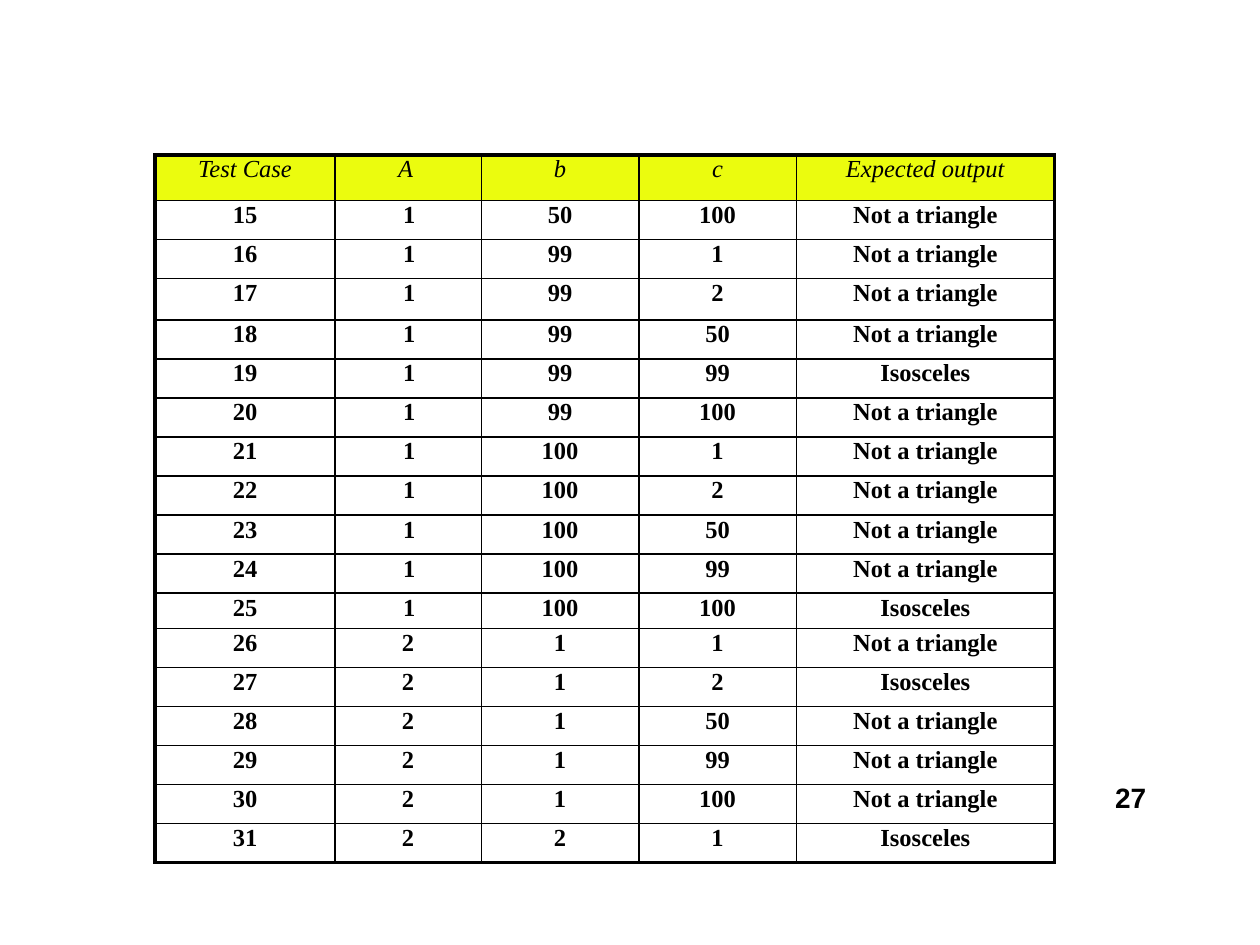
from dataclasses import dataclass
from itertools import product

from lxml import etree
from pptx import Presentation
from pptx.dml.color import RGBColor
from pptx.enum.text import MSO_ANCHOR, PP_ALIGN
from pptx.oxml.ns import qn
from pptx.util import Inches, Pt

CENTER, LEFT = PP_ALIGN.CENTER, PP_ALIGN.LEFT
TOP = MSO_ANCHOR.TOP


@dataclass(frozen=True)
class Theme:
    ink: str = "000000"
    header_fill: str = "EBFC0E"
    table_font: str = "Times New Roman"
    number_font: str = "Arial"
    table_size: float = 14
    number_size: float = 16
    inner_line: float = 1
    outer_line: float = 2.25
    table_spacing: float = 1.04
    number_spacing: float = 1.17


@dataclass(frozen=True)
class TextStyle:
    font: str
    size: float
    spacing: float
    bold: bool = False
    italic: bool = False


@dataclass(frozen=True)
class Column:
    heading: str
    width: float


THEME = Theme()
HEADER_STYLE = TextStyle(THEME.table_font, THEME.table_size, THEME.table_spacing, italic=True)
BODY_STYLE = TextStyle(THEME.table_font, THEME.table_size, THEME.table_spacing, bold=True)
NUMBER_STYLE = TextStyle(THEME.number_font, THEME.number_size, THEME.number_spacing, bold=True)

SLIDE_WIDTH, SLIDE_HEIGHT = 10, 7.5
TABLE_LEFT = TABLE_TOP = 1.23
COLUMNS = (
    Column("Test Case", 1.43),
    Column("A", 1.16),
    Column("b", 1.25),
    Column("c", 1.25),
    Column("Expected output", 2.05),
)
INDENTED_COLUMN = 1
INDENTS = {"A": 0.5, "1": 0.54, "2": 0.53}
HEADER_HEIGHT, ROW_HEIGHT = 0.36, 0.31
SPECIAL_HEIGHTS = {"17": 0.33, "25": 0.28}

SIDE_VALUES = (1, 2, 50, 99, 100)
FIRST_CASE, LAST_CASE = 15, 31


def classify(sides: tuple[int, ...]) -> str:
    if 2 * max(sides) >= sum(sides):
        return "Not a triangle"
    return {1: "Equilateral", 2: "Isosceles", 3: "Scalene"}[len(set(sides))]


def test_cases() -> list[list[str]]:
    """Number every combination of side values and keep the cases on this slide."""
    combinations = enumerate(product(SIDE_VALUES, repeat=3), start=1)
    return [
        [str(number), *map(str, sides), classify(sides)]
        for number, sides in combinations
        if FIRST_CASE <= number <= LAST_CASE
    ]


def write_text(text_frame, text: str, style: TextStyle, alignment=CENTER, indent: float = 0) -> None:
    paragraph = text_frame.paragraphs[0]
    paragraph.alignment = alignment
    paragraph.line_spacing = style.spacing
    if indent:
        properties = paragraph._p.get_or_add_pPr()
        properties.set("marL", str(Inches(indent)))
        properties.set("indent", "0")
    run = paragraph.add_run()
    run.text = text
    run.font.name = style.font
    run.font.size = Pt(style.size)
    run.font.bold = style.bold
    run.font.italic = style.italic
    run.font.color.rgb = RGBColor.from_string(THEME.ink)


def set_borders(cell, outer_sides: dict[str, bool]) -> None:
    """Draw each side, heavier where it lies on the table's edge."""
    properties = cell._tc.get_or_add_tcPr()
    for position, (side, is_outer) in enumerate(outer_sides.items()):
        line = etree.Element(qn(f"a:ln{side}"))
        line.set("w", str(Pt(THEME.outer_line if is_outer else THEME.inner_line)))
        fill = etree.SubElement(line, qn("a:solidFill"))
        etree.SubElement(fill, qn("a:srgbClr")).set("val", THEME.ink)
        properties.insert(position, line)


def add_case_table(slide) -> None:
    rows = [[column.heading for column in COLUMNS], *test_cases()]
    heights = [HEADER_HEIGHT, *(SPECIAL_HEIGHTS.get(row[0], ROW_HEIGHT) for row in rows[1:])]
    frame = slide.shapes.add_table(
        len(rows), len(COLUMNS), Inches(TABLE_LEFT), Inches(TABLE_TOP),
        Inches(sum(column.width for column in COLUMNS)), Inches(sum(heights)),
    )
    table = frame.table
    table.first_row = table.horz_banding = False
    for table_column, column in zip(table.columns, COLUMNS):
        table_column.width = Inches(column.width)
    for table_row, height in zip(table.rows, heights):
        table_row.height = Inches(height)

    last_row, last_column = len(rows) - 1, len(COLUMNS) - 1
    for row_index, row in enumerate(rows):
        is_header = row_index == 0
        for column_index, text in enumerate(row):
            cell = table.cell(row_index, column_index)
            cell.margin_left = cell.margin_right = cell.margin_top = cell.margin_bottom = 0
            cell.vertical_anchor = TOP
            if is_header:
                cell.fill.solid()
                cell.fill.fore_color.rgb = RGBColor.from_string(THEME.header_fill)
            else:
                cell.fill.background()
            set_borders(cell, {
                "L": column_index == 0,
                "R": column_index == last_column,
                "T": is_header,
                "B": row_index == last_row,
            })
            style = HEADER_STYLE if is_header else BODY_STYLE
            if column_index == INDENTED_COLUMN:
                write_text(cell.text_frame, text, style, LEFT, INDENTS[text])
            else:
                write_text(cell.text_frame, text, style)


def add_page_number(slide, text: str) -> None:
    box = slide.shapes.add_textbox(Inches(8.81), Inches(6.15), Inches(0.41), Inches(0.28))
    frame = box.text_frame
    frame.word_wrap = True
    frame.margin_left = frame.margin_right = frame.margin_top = frame.margin_bottom = 0
    write_text(frame, text, NUMBER_STYLE, LEFT, indent=0.04)


def main() -> None:
    presentation = Presentation()
    presentation.slide_width = Inches(SLIDE_WIDTH)
    presentation.slide_height = Inches(SLIDE_HEIGHT)
    slide = presentation.slides.add_slide(presentation.slide_layouts.get_by_name("Blank"))
    add_case_table(slide)
    add_page_number(slide, "27")
    presentation.save("out.pptx")


if __name__ == "__main__":
    main()
